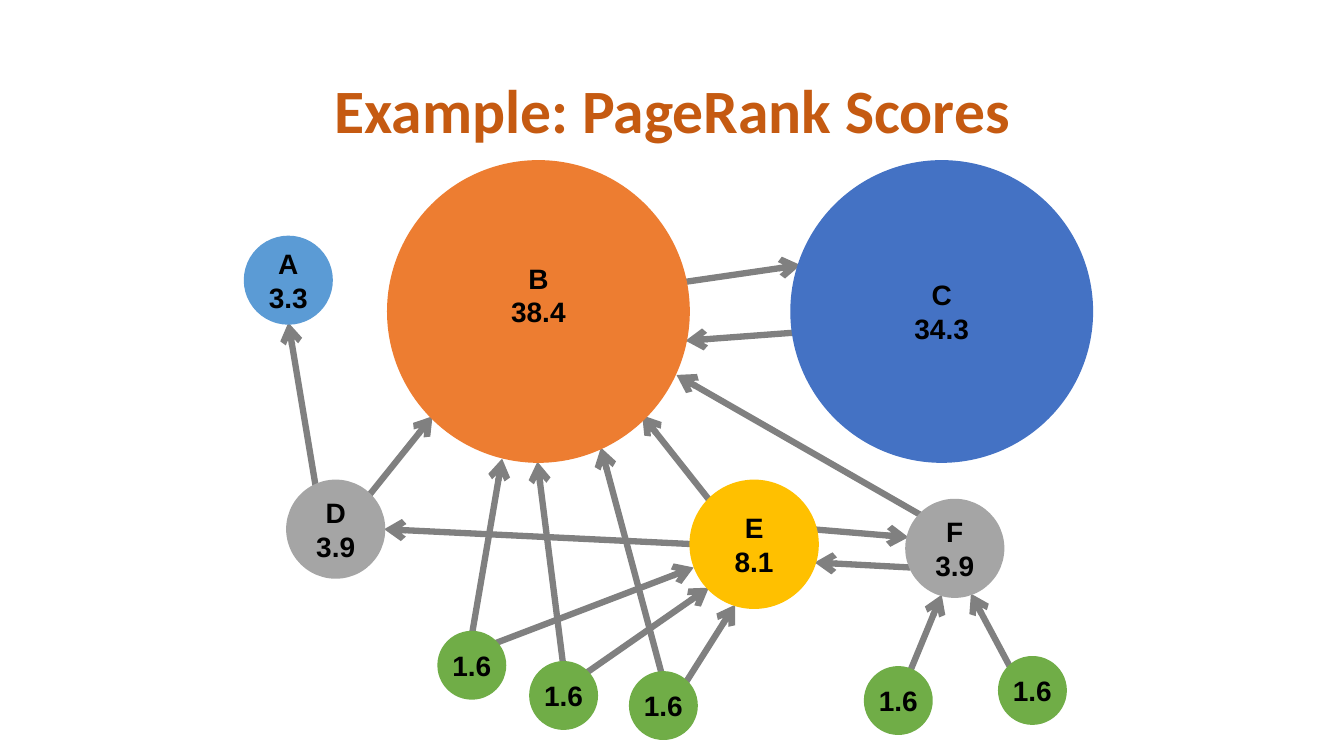
import dataclasses

import pptx
import pptx.dml.color
import pptx.enum.shapes
import pptx.enum.text
import pptx.oxml.ns
import pptx.util
from lxml import etree

CELL = 0.1  # inches; columns and rows are equally wide


@dataclasses.dataclass(frozen=True)
class Theme:
    title: str = "C55A11"
    text: str = "000000"
    arrow: str = "808080"
    orange: str = "ED7D31"
    navy: str = "4472C4"
    gold: str = "FFC000"
    grey: str = "A5A5A5"
    sky: str = "5B9BD5"
    green: str = "70AD47"
    title_font: str = "Calibri"
    node_font: str = "Arial"
    title_size: float = 44
    node_size: float = 20
    arrow_width: float = 4.5
    outline_width: float = 6


def cells(n):
    return pptx.util.Inches(n * CELL)


def rgb(code):
    return pptx.dml.color.RGBColor.from_string(code)


class Canvas:
    def __init__(self, slide, theme):
        self.s = slide
        self.theme = theme

    def add_lines(self, tf, lines, font, size, color, spacing=None):
        """Fill a text frame with bold centred lines, one paragraph each."""
        tf.vertical_anchor = pptx.enum.text.MSO_ANCHOR.MIDDLE
        for i, line in enumerate(lines):
            p = tf.add_paragraph() if i else tf.paragraphs[0]
            p.alignment = pptx.enum.text.PP_ALIGN.CENTER
            if spacing:
                p.line_spacing = spacing
            r = p.add_run()
            r.text = line
            r.font.name = font
            r.font.size = pptx.util.Pt(size)
            r.font.bold = True
            r.font.color.rgb = rgb(color)

    def title(self, text, col, row, cols, rows):
        t = self.theme
        sp = self.s.shapes.add_textbox(*map(cells, (col, row, cols, rows)))
        sp.text_frame.word_wrap = True
        self.add_lines(sp.text_frame, [text], t.title_font, t.title_size, t.title, 0.9)

    def arrow(self, x1, y1, x2, y2):
        cxn = self.s.shapes.add_connector(
            pptx.enum.shapes.MSO_CONNECTOR.STRAIGHT, *map(cells, (x1, y1, x2, y2)))
        cxn.line.color.rgb = rgb(self.theme.arrow)
        cxn.line.width = pptx.util.Pt(self.theme.arrow_width)
        qn = pptx.oxml.ns.qn
        ln = cxn._element.spPr.find(qn("a:ln"))
        etree.SubElement(ln, qn("a:tailEnd"), type="arrow")
        etree.SubElement(cxn._element.spPr, qn("a:effectLst"))

    def node(self, lines, x, y, size, color, lift=0):
        """Draw a circle centred on x, y; lift is room kept below its text."""
        t = self.theme
        sp = self.s.shapes.add_shape(
            pptx.enum.shapes.MSO_SHAPE.OVAL,
            *map(cells, (x - size / 2, y - size / 2, size, size)))
        sp.shadow.inherit = False
        sp.fill.solid()
        sp.fill.fore_color.rgb = rgb(color)
        sp.line.color.rgb = rgb(color)
        sp.line.width = pptx.util.Pt(t.outline_width)
        tf = sp.text_frame
        tf.margin_left = tf.margin_top = tf.margin_right = 0
        tf.margin_bottom = cells(lift)
        tf.word_wrap = False
        self.add_lines(tf, lines, t.node_font, t.node_size, t.text)


def main():
    prs = pptx.Presentation()
    prs.slide_width = pptx.util.Inches(13.33)
    prs.slide_height = pptx.util.Inches(7.5)
    theme = Theme()
    canvas = Canvas(prs.slides.add_slide(prs.slide_layouts[6]), theme)

    canvas.title("Example: PageRank Scores", 9.2, 4, 115, 14.5)

    links = [
        (67.7, 28, 79.4, 26.3),      # B to C
        (78.8, 33, 68, 33.8),        # C to B
        (70.5, 49.8, 63.7, 41.2),    # E to B
        (36.4, 49.4, 42.9, 41.3),    # D to B
        (31.3, 48.2, 28.6, 32),      # D to A
        (46.8, 63, 49.8, 45.5),      # first leaf to B
        (48.9, 63.9, 68.8, 56.3),    # first leaf to E
        (69.1, 54, 38.1, 52.5),      # E to D
        (55.9, 66.3, 53.3, 45.8),    # second leaf to B
        (57.8, 67, 70.3, 58.3),      # second leaf to E
        (67.9, 67.9, 72.9, 60),      # third leaf to E
        (65.8, 67.5, 59.6, 44.4),    # third leaf to B
        (90.1, 67, 93.4, 59),        # fourth leaf to F
        (100.3, 66.4, 96.3, 58.9),   # fifth leaf to F
        (91.5, 51.2, 67.1, 37.2),    # F to B
        (90.3, 56.3, 80.8, 55.8),    # F to E
        (80.5, 52.5, 90.1, 53.3),    # E to F
    ]
    for link in links:
        canvas.arrow(*link)

    canvas.node(["B", "38.4"], 53.4, 30.9, 29.2, theme.orange, lift=3.3)
    canvas.node(["C", "34.3"], 93.4, 30.9, 29.2, theme.navy)
    canvas.node(["E", "8.1"], 74.8, 54, 12, theme.gold)
    canvas.node(["F", "3.9"], 94.7, 54.4, 9, theme.grey)
    canvas.node(["D", "3.9"], 33.3, 52.5, 9, theme.grey)
    canvas.node(["A", "3.3"], 28.6, 27.8, 8, theme.sky)

    leaves = [(46.8, 66), (55.9, 69), (65.8, 70), (89.1, 69.5), (102.4, 68.5)]
    for x, y in leaves:
        canvas.node(["1.6"], x, y, 6, theme.green)

    prs.save("out.pptx")


if __name__ == "__main__":
    main()
